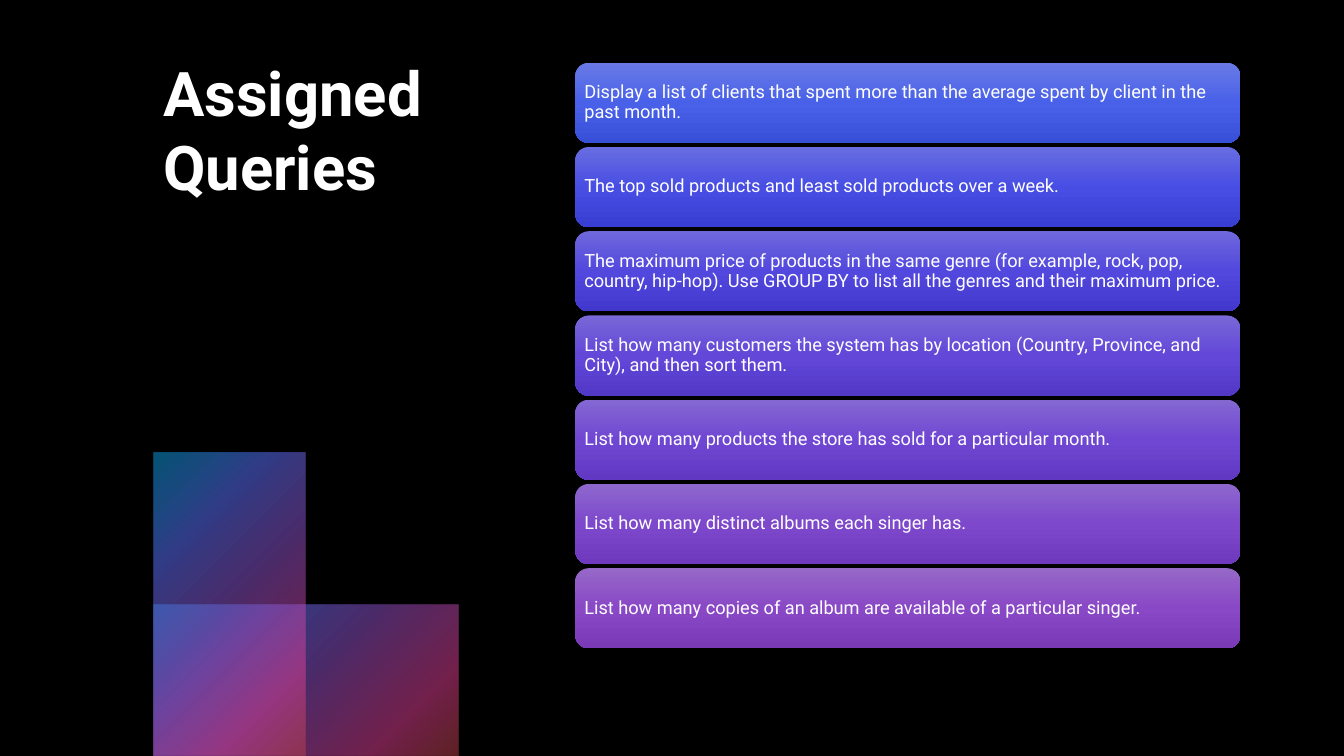
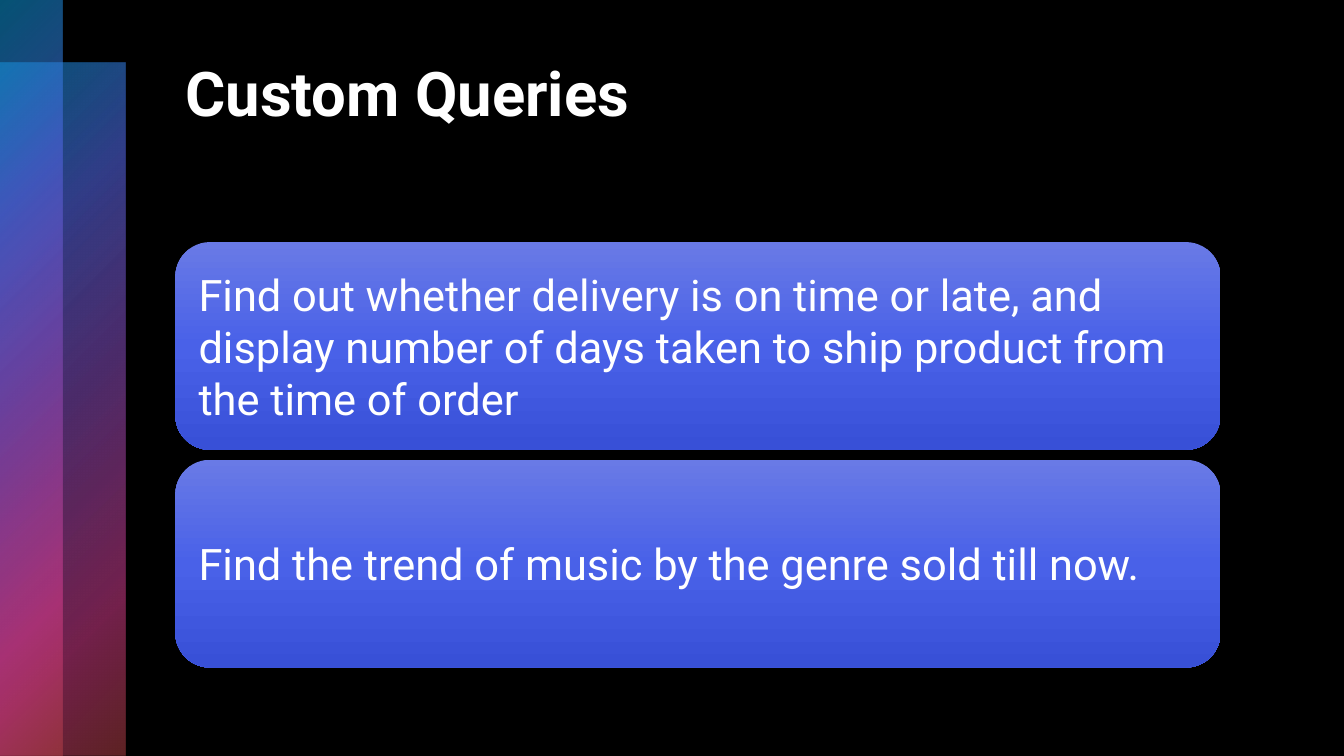
from lxml.etree import SubElement
from pptx import Presentation
from pptx.dml.color import RGBColor
from pptx.enum.shapes import MSO_SHAPE
from pptx.enum.text import MSO_ANCHOR, PP_ALIGN
from pptx.oxml.ns import qn
from pptx.util import Cm, Pt

# Shared style
FONT = "Roboto"
BLACK = RGBColor(0x00, 0x00, 0x00)
WHITE = RGBColor(0xFF, 0xFF, 0xFF)
SLIDE_WIDTH, SLIDE_HEIGHT = 33.87, 19.05
TITLE_TOP = 1.27

# Gradient stops: position %, colour, opacity %
BAND_STOPS = [
    (0, RGBColor(0x0B, 0xA5, 0xE8), 50),
    (25, RGBColor(0x50, 0x66, 0xE1), 60),
    (50, RGBColor(0x89, 0x4E, 0xC0), 55),
    (81, RGBColor(0xE5, 0x41, 0x96), 50),
    (99, RGBColor(0xBE, 0x44, 0x49), 50),
]

# Card colours from blue to purple: top, middle, bottom
CARD_COLORS = [
    (RGBColor(0x69, 0x7A, 0xE6), RGBColor(0x49, 0x61, 0xE8), RGBColor(0x38, 0x50, 0xD7)),
    (RGBColor(0x69, 0x6D, 0xE1), RGBColor(0x48, 0x4E, 0xE3), RGBColor(0x38, 0x3E, 0xD2)),
    (RGBColor(0x6F, 0x68, 0xDC), RGBColor(0x52, 0x48, 0xDE), RGBColor(0x42, 0x38, 0xCD)),
    (RGBColor(0x79, 0x68, 0xD7), RGBColor(0x62, 0x47, 0xD8), RGBColor(0x52, 0x38, 0xC7)),
    (RGBColor(0x84, 0x68, 0xD2), RGBColor(0x70, 0x47, 0xD2), RGBColor(0x61, 0x38, 0xC2)),
    (RGBColor(0x8D, 0x67, 0xCD), RGBColor(0x7D, 0x48, 0xCC), RGBColor(0x6E, 0x39, 0xBC)),
    (RGBColor(0x96, 0x68, 0xC7), RGBColor(0x89, 0x48, 0xC6), RGBColor(0x7A, 0x3A, 0xB6)),
]

ASSIGNED_QUERIES = [
    "Display a list of clients that spent more than the average spent by client in the past month.",
    "The top sold products and least sold products over a week.",
    "The maximum price of products in the same genre (for example, rock, pop, country, hip-hop). "
    "Use GROUP BY to list all the genres and their maximum price.",
    "List how many customers the system has by location (Country, Province, and City), "
    "and then sort them.",
    "List how many products the store has sold for a particular month.",
    "List how many distinct albums each singer has.",
    "List how many copies of an album are available of a particular singer.",
]
CUSTOM_QUERIES = [
    "Find out whether delivery is on time or late, and display number of days taken "
    "to ship product from the time of order",
    "Find the trend of music by the genre sold till now.",
]


def fill_gradient(shape, stops, radial=False):
    """Fill from the top left corner if radial, else from top to bottom."""
    shape.fill.background()
    no_fill = shape.element.spPr.find(qn("a:noFill"))
    gradient = no_fill.makeelement(qn("a:gradFill"), {"rotWithShape": "1"})
    stop_list = SubElement(gradient, qn("a:gsLst"))
    for position, color, opacity in stops:
        stop = SubElement(stop_list, qn("a:gs"), pos=str(position * 1000))
        rgb = SubElement(stop, qn("a:srgbClr"), val=str(color))
        if opacity < 100:
            SubElement(rgb, qn("a:alpha"), val=str(opacity * 1000))
    if radial:
        circle = SubElement(gradient, qn("a:path"), {"path": "circle"})
        SubElement(circle, qn("a:fillToRect"), r="100000", b="100000")
    else:
        SubElement(gradient, qn("a:lin"), ang="5400000", scaled="0")
    no_fill.getparent().replace(no_fill, gradient)


def add_panel(slide, preset, left, top, width, height):
    panel = slide.shapes.add_shape(preset, Cm(left), Cm(top), Cm(width), Cm(height))
    panel.shadow.inherit = False
    panel.line.fill.background()
    return panel


def write_text(frame, text, size, bold=False, line_spacing=1.0):
    frame.word_wrap = True
    paragraph = frame.paragraphs[0]
    paragraph.alignment = PP_ALIGN.LEFT
    paragraph.line_spacing = line_spacing
    run = paragraph.add_run()
    run.text = text
    run.font.name = FONT
    run.font.size = Pt(size)
    run.font.bold = bold
    run.font.color.rgb = WHITE


def add_title(slide, text, left, width, height):
    title = slide.shapes.add_textbox(Cm(left), Cm(TITLE_TOP), Cm(width), Cm(height))
    write_text(title.text_frame, text, 44, bold=True)


def add_bands(slide, left, top, width, height, step):
    """Wide band set down by one step, under a full-height column one step wide."""
    for band_top, band_width in ((top + step, width), (top, step)):
        band = add_panel(slide, MSO_SHAPE.RECTANGLE, left, band_top,
                         band_width, top + height - band_top)
        fill_gradient(band, BAND_STOPS, radial=True)


def add_cards(slide, queries, colors, left, top, width, height, gap, inset, size, line_spacing):
    """Stack of equal cards filling the given box."""
    card_height = (height - gap * (len(queries) - 1)) / len(queries)
    for index, (query, shades) in enumerate(zip(queries, colors)):
        card = add_panel(slide, MSO_SHAPE.ROUNDED_RECTANGLE, left,
                         top + index * (card_height + gap), width, card_height)
        fill_gradient(card, [(pos, shade, 100) for pos, shade in zip((0, 50, 100), shades)])
        frame = card.text_frame
        frame.vertical_anchor = MSO_ANCHOR.MIDDLE
        frame.margin_left = frame.margin_right = Cm(inset)
        frame.margin_top = frame.margin_bottom = Cm(inset)
        write_text(frame, query, size, line_spacing=line_spacing)


def add_black_slide(deck):
    slide = deck.slides.add_slide(deck.slide_layouts[6])
    slide.background.fill.solid()
    slide.background.fill.fore_color.rgb = BLACK
    return slide


def build_assigned_queries(deck):
    slide = add_black_slide(deck)
    add_bands(slide, 3.86, 11.4, 7.7, SLIDE_HEIGHT - 11.4, step=3.83)
    add_title(slide, "Assigned Queries", 3.86, 8.84, 9.42)
    add_cards(slide, ASSIGNED_QUERIES, CARD_COLORS, 14.5, 1.58, 16.76, 14.76,
              gap=0.1, inset=0.13, size=13, line_spacing=0.9)


def build_custom_queries(deck):
    slide = add_black_slide(deck)
    add_bands(slide, 0, 0, 3.16, SLIDE_HEIGHT, step=1.58)
    add_title(slide, "Custom Queries", 4.42, 26.34, 4.32)
    add_cards(slide, CUSTOM_QUERIES, [CARD_COLORS[0]] * len(CUSTOM_QUERIES),
              4.42, 6.1, 26.34, 10.72, gap=0.25, inset=0.33, size=31, line_spacing=1.0)


def main():
    deck = Presentation()
    deck.slide_width, deck.slide_height = Cm(SLIDE_WIDTH), Cm(SLIDE_HEIGHT)
    build_assigned_queries(deck)
    build_custom_queries(deck)
    deck.save("out.pptx")


if __name__ == "__main__":
    main()
